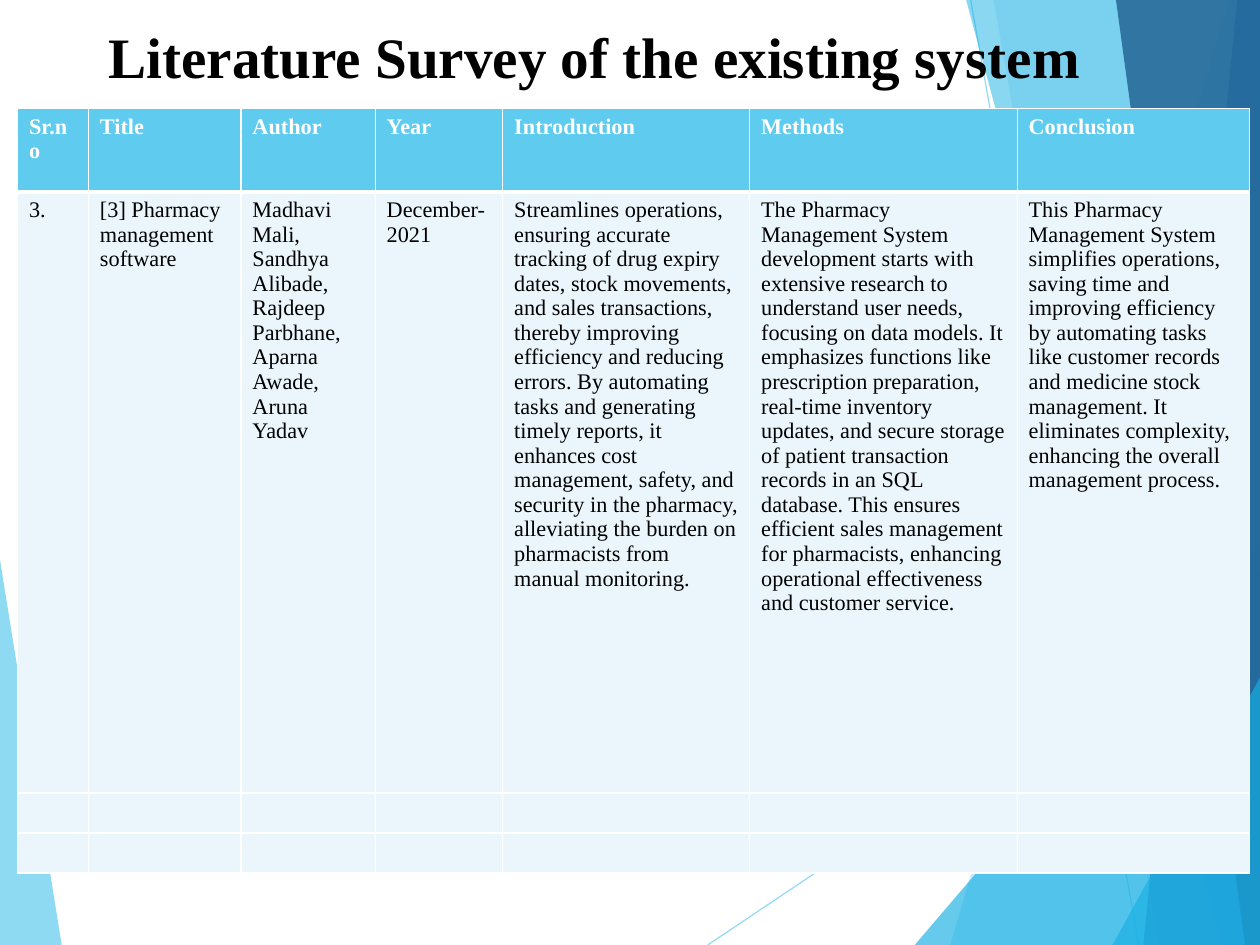
import dataclasses
import typing

import lxml.etree
import pptx
import pptx.dml.color
import pptx.enum.shapes
import pptx.enum.text
import pptx.oxml.ns
import pptx.util

Point = tuple[float, float]
WIDTH = pptx.util.Cm(28)
HEIGHT = pptx.util.Cm(21)
GRID = 100


@dataclasses.dataclass(frozen=True)
class Theme:
    font: str = "Times New Roman"
    title_size: int = 36
    table_size: int = 14
    text: str = "000000"
    white: str = "FFFFFF"
    sky: str = "5FCBEF"
    cyan: str = "17B0E4"
    blue: str = "2E83C3"
    navy: str = "226292"
    pale: str = "EAF6FC"
    thin: float = 1
    thick: float = 3
    hairline: float = 0.75


@dataclasses.dataclass(frozen=True)
class Facet:
    points: list[Point]
    colour: str
    opacity: int


@dataclasses.dataclass(frozen=True)
class Ray:
    start: Point
    end: Point


@dataclasses.dataclass(frozen=True)
class Column:
    width: float
    heading: str
    entry: str


THEME = Theme()


def band(top: float, bottom: float) -> list[Point]:
    return [(top, 0), (bottom, GRID), (GRID, GRID), (GRID, 0)]


def wedge(base: float, peak: float, side: float = GRID) -> list[Point]:
    return [(base, GRID), (side, peak), (side, GRID)]


FACETS = [
    Facet(wedge(4.9, 59.2, side=0), THEME.sky, 70),
    Facet(band(97.55, 75.41), THEME.sky, 36),
    Facet(band(78.86, 92.01), THEME.sky, 20),
    Facet(wedge(72.6, 57.25), THEME.cyan, 66),
    Facet(band(76.68, 97.01), THEME.cyan, 50),
    Facet(band(98.19, 90.74), THEME.blue, 70),
    Facet(band(88.57, 98.82), THEME.navy, 82),
    Facet(wedge(88.29, 71.7), THEME.cyan, 66),
]
RAYS = [Ray((56.17, 100), (100, 60.82)), Ray((77.04, 0), (90.38, 100))]
ROWS = [8.83, 63.6, 4.23, 4.23]
COLUMNS = [
    Column(5.63, "Sr.no", "3."),
    Column(12.1, "Title", "[3] Pharmacy management software"),
    Column(10.66, "Author", "Madhavi Mali, Sandhya\nAlibade,\nRajdeep\nParbhane, Aparna\nAwade, Aruna Yadav"),
    Column(10.12, "Year", "December-2021"),
    Column(19.6, "Introduction",
           "Streamlines operations, ensuring accurate tracking of drug expiry dates, stock movements, "
           "and sales transactions, thereby improving efficiency and reducing errors. By automating tasks "
           "and generating timely reports, it enhances cost management, safety, and security in the "
           "pharmacy, alleviating the burden on pharmacists from manual monitoring."),
    Column(21.23, "Methods",
           "The Pharmacy Management System development starts with extensive research to understand user "
           "needs, focusing on data models. It emphasizes functions like prescription preparation, "
           "real-time inventory updates, and secure storage of patient transaction records in an SQL "
           "database. This ensures efficient sales management for pharmacists, enhancing operational "
           "effectiveness and customer service."),
    Column(18.42, "Conclusion",
           "This Pharmacy Management System simplifies operations, saving time and improving efficiency "
           "by automating tasks like customer records and medicine stock management. It eliminates "
           "complexity, enhancing the overall management process."),
]


def across(columns: float) -> pptx.util.Emu:
    return pptx.util.Emu(round(WIDTH * columns / GRID))


def down(rows: float) -> pptx.util.Emu:
    return pptx.util.Emu(round(HEIGHT * rows / GRID))


def place(point: Point) -> tuple[pptx.util.Emu, pptx.util.Emu]:
    return across(point[0]), down(point[1])


def rgb(colour: str) -> pptx.dml.color.RGBColor:
    return pptx.dml.color.RGBColor.from_string(colour)


def add_child(parent: typing.Any, tag: str, **values: str) -> typing.Any:
    return lxml.etree.SubElement(parent, pptx.oxml.ns.qn(tag), **values)


def apply_format(target: typing.Any, values: dict[str, typing.Any]) -> None:
    for name, value in values.items():
        setattr(target, name, value)


def format_text(frame: typing.Any, size: int, colour: str, bold: bool) -> None:
    values = {"name": THEME.font, "size": pptx.util.Pt(size), "bold": bold}
    for para in frame.paragraphs:
        for span in para.runs:
            apply_format(span.font, values)
            span.font.color.rgb = rgb(colour)
        if not para.runs:
            add_child(para._p, "a:endParaRPr", sz=str(size * 100))


def set_opacity(shape: typing.Any, percent: int) -> None:
    for colour in shape.element.iter(pptx.oxml.ns.qn("a:srgbClr")):
        add_child(colour, "a:alpha", val=str(percent * 1000))


def draw_facet(page: typing.Any, facet: Facet) -> None:
    corners = [place(point) for point in facet.points]
    builder = page.shapes.build_freeform(*corners[0])
    builder.add_line_segments(corners[1:], close=True)
    shape = builder.convert_to_shape()
    shape.shadow.inherit = False
    shape.fill.solid()
    shape.fill.fore_color.rgb = rgb(facet.colour)
    shape.line.fill.background()
    set_opacity(shape, facet.opacity)


def draw_ray(page: typing.Any, ray: Ray) -> None:
    line = page.shapes.add_connector(
        pptx.enum.shapes.MSO_CONNECTOR.STRAIGHT, *place(ray.start), *place(ray.end))
    line.line.color.rgb = rgb(THEME.sky)
    line.line.width = pptx.util.Pt(THEME.hairline)
    add_child(line.element.spPr, "a:effectLst")
    set_opacity(line, 70)


def draw_title(page: typing.Any) -> None:
    title = page.shapes.title
    title.element.getparent().append(title.element)
    apply_format(title, {"left": across(6.53), "top": down(1.57), "width": across(81.85), "height": down(9.79)})
    frame = title.text_frame
    frame.text = "Literature Survey of the existing system"
    apply_format(frame, {
        "word_wrap": True,
        "auto_size": pptx.enum.text.MSO_AUTO_SIZE.NONE,
        "vertical_anchor": pptx.enum.text.MSO_ANCHOR.MIDDLE,
        "margin_left": across(2.08),
        "margin_bottom": down(1.7),
    })
    frame.paragraphs[0].alignment = pptx.enum.text.PP_ALIGN.LEFT
    format_text(frame, THEME.title_size, THEME.text, True)


def draw_borders(cell: typing.Any, row: int) -> None:
    widths = {"L": THEME.thin, "R": THEME.thin,
              "T": THEME.thick if row == 1 else THEME.thin,
              "B": THEME.thick if row == 0 else THEME.thin}
    for side, width in widths.items():
        line = add_child(cell._tc.get_or_add_tcPr(), f"a:ln{side}", w=str(pptx.util.Pt(width)))
        add_child(add_child(line, "a:solidFill"), "a:srgbClr", val=THEME.white)


def draw_table(page: typing.Any) -> None:
    width = sum(column.width for column in COLUMNS)
    table = page.shapes.add_table(
        len(ROWS), len(COLUMNS), across(1.4), down(11.49), across(width), down(sum(ROWS))).table
    table.horz_banding = False
    for row, height in enumerate(ROWS):
        table.rows[row].height = down(height)
    for index, column in enumerate(COLUMNS):
        table.columns[index].width = across(column.width)
        for row, words in enumerate([column.heading, column.entry, "", ""]):
            heading = row == 0
            cell = table.cell(row, index)
            draw_borders(cell, row)
            cell.fill.solid()
            cell.fill.fore_color.rgb = rgb(THEME.sky if heading else THEME.pale)
            cell.text_frame.text = words
            format_text(cell.text_frame, THEME.table_size, THEME.white if heading else THEME.text, heading)


def main() -> None:
    deck = pptx.Presentation()
    apply_format(deck, {"slide_width": WIDTH, "slide_height": HEIGHT})
    page = deck.slides.add_slide(deck.slide_layouts[5])
    for ray in RAYS:
        draw_ray(page, ray)
    for facet in FACETS:
        draw_facet(page, facet)
    draw_title(page)
    draw_table(page)
    deck.save("out.pptx")


if __name__ == "__main__":
    main()
